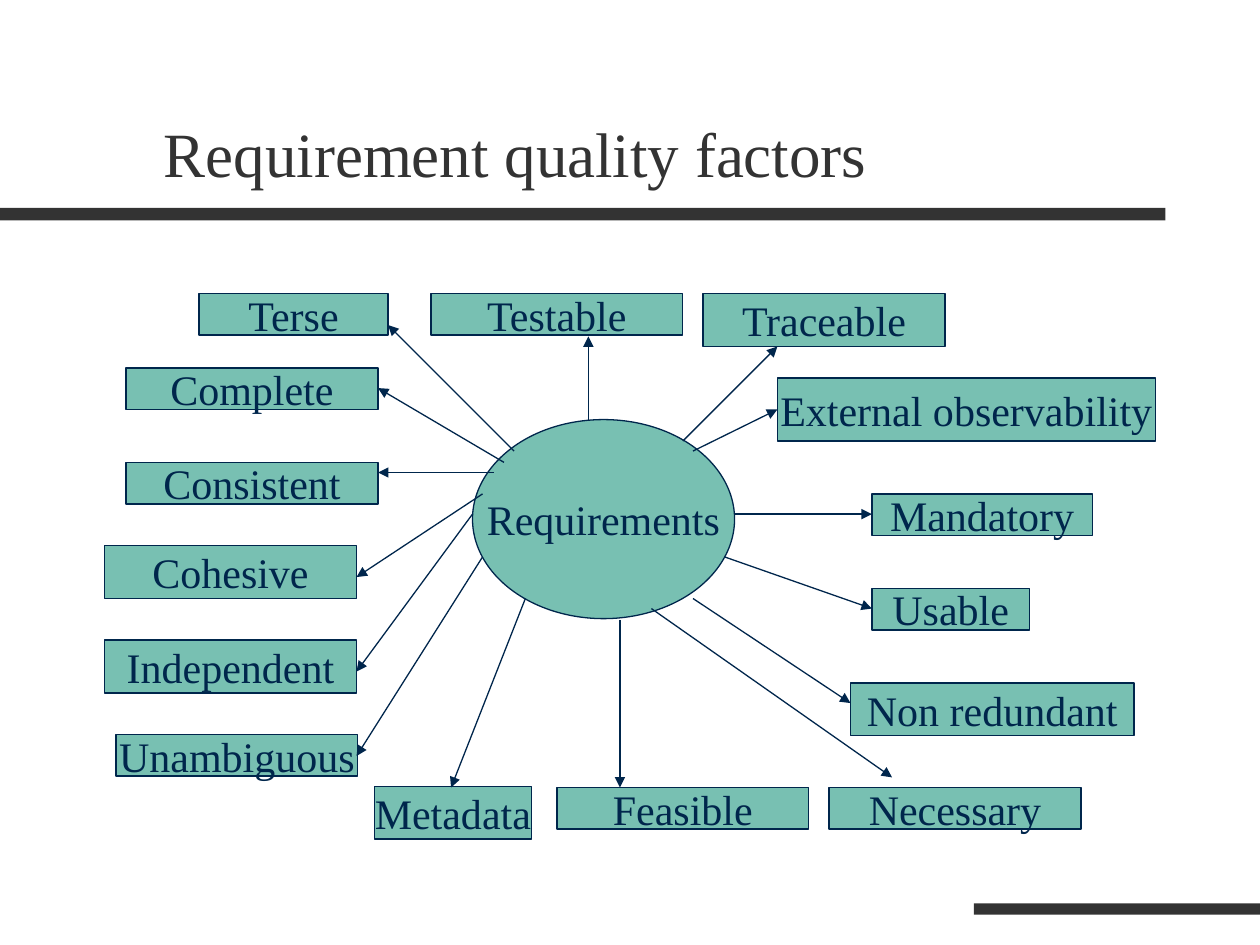
from lxml.etree import SubElement
from pptx import Presentation
from pptx.dml.color import RGBColor
from pptx.enum.shapes import MSO_CONNECTOR, MSO_SHAPE
from pptx.enum.text import MSO_ANCHOR, PP_ALIGN
from pptx.oxml.ns import qn
from pptx.util import Inches, Pt

FONT = "Times New Roman"
GREY, TEAL, NAVY = "333333", "78C0B2", "00264C"


def paint(shape, fill, line=None):
    shape.shadow.inherit = False
    shape.fill.solid()
    shape.fill.fore_color.rgb = RGBColor.from_string(fill)
    if line:
        shape.line.color.rgb = RGBColor.from_string(line)
        shape.line.width = Pt(0.75)
    else:
        shape.line.fill.background()


def style(shape, text, size, color, align, anchor):
    frame = shape.text_frame
    frame.text = text
    frame.vertical_anchor = anchor
    para = frame.paragraphs[0]
    para.alignment = align
    para.font.name = FONT
    para.font.size = Pt(size)
    para.font.color.rgb = RGBColor.from_string(color)


deck = Presentation()
deck.slide_width, deck.slide_height = Inches(10), Inches(7.5)
slide = deck.slides.add_slide(deck.slide_layouts[5])
shapes = slide.shapes

# Rules under the title and at the foot
for box in [(0, 1.65, 9.25, 0.1), (7.73, 7.17, 2.27, 0.09)]:
    paint(shapes.add_shape(MSO_SHAPE.RECTANGLE, *map(Inches, box)), GREY)

title = shapes.title
title.left, title.top = Inches(1.2), Inches(0.31)
title.width, title.height = Inches(8.5), Inches(1.25)
style(title, "Requirement quality factors", 36, GREY, PP_ALIGN.LEFT, MSO_ANCHOR.BOTTOM)

# The hub and its factors: text, left, top, width, height
nodes = [
    ("Requirements", 3.75, 3.33, 2.08, 1.58),
    ("Cohesive", 0.83, 4.33, 2, 0.42),
    ("Complete", 1, 2.92, 2, 0.33),
    ("Consistent", 1, 3.67, 2, 0.33),
    ("Feasible", 4.42, 6.25, 2, 0.33),
    ("Independent", 0.83, 5.08, 2, 0.42),
    ("Necessary", 6.58, 6.25, 2, 0.33),
    ("Unambiguous", 0.92, 5.83, 1.92, 0.33),
    ("Mandatory", 6.92, 3.92, 1.75, 0.33),
    ("Usable", 6.92, 4.67, 1.25, 0.33),
    ("Testable", 3.42, 2.33, 2, 0.33),
    ("Traceable", 5.58, 2.33, 1.92, 0.42),
    ("Non redundant", 6.75, 5.42, 2.25, 0.42),
    ("External observability", 6.17, 3, 3, 0.5),
    ("Metadata", 2.97, 6.24, 1.25, 0.42),
    ("Terse", 1.58, 2.33, 1.5, 0.33),
]
for text, *box in nodes:
    kind = MSO_SHAPE.OVAL if text == "Requirements" else MSO_SHAPE.RECTANGLE
    node = shapes.add_shape(kind, *map(Inches, box))
    paint(node, TEAL, NAVY)
    style(node, text, 24, NAVY, PP_ALIGN.CENTER, MSO_ANCHOR.MIDDLE)
    node.text_frame.word_wrap = False

# Arrows from the hub, clockwise from Terse: start x, y, end x, y
arrows = [
    (4.08, 3.58, 3.08, 2.58),
    (4.67, 3.33, 4.67, 2.67),
    (5.42, 3.5, 6.17, 2.75),
    (5.5, 3.58, 6.17, 3.25),
    (5.83, 4.08, 6.92, 4.08),
    (5.75, 4.42, 6.92, 4.83),
    (5.5, 4.75, 6.75, 5.58),
    (5.17, 4.83, 7.08, 6.17),
    (4.92, 4.92, 4.92, 6.25),
    (4.17, 4.75, 3.58, 6.25),
    (3.83, 4.42, 2.83, 6),
    (3.75, 4.08, 2.83, 5.33),
    (3.83, 3.92, 2.83, 4.58),
    (3.92, 3.75, 3, 3.75),
    (4, 3.67, 3, 3.08),
]
for ends in arrows:
    arrow = shapes.add_connector(MSO_CONNECTOR.STRAIGHT, *map(Inches, ends))
    arrow.line.color.rgb = RGBColor.from_string(NAVY)
    arrow.line.width = Pt(0.75)
    props = arrow._element.spPr
    SubElement(props.find(qn("a:ln")), qn("a:tailEnd"), type="triangle")
    SubElement(props, qn("a:effectLst"))

deck.save("out.pptx")
